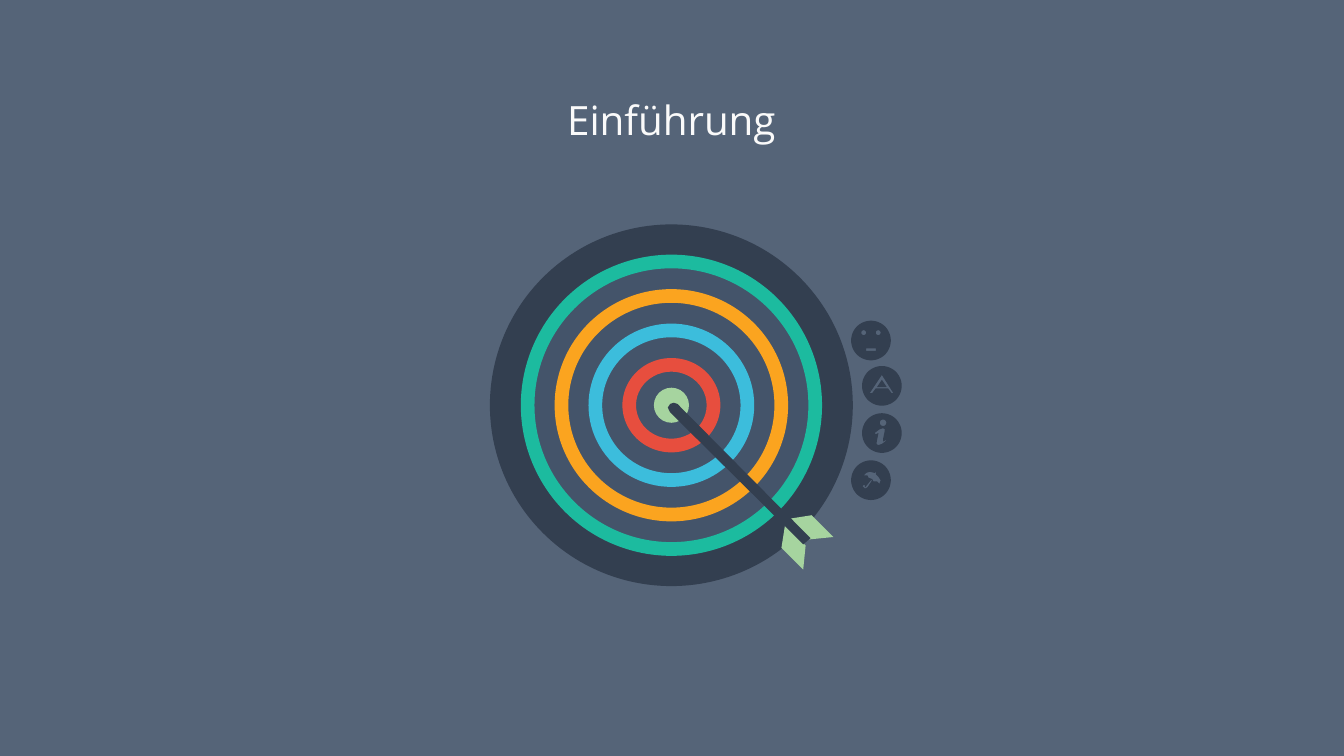
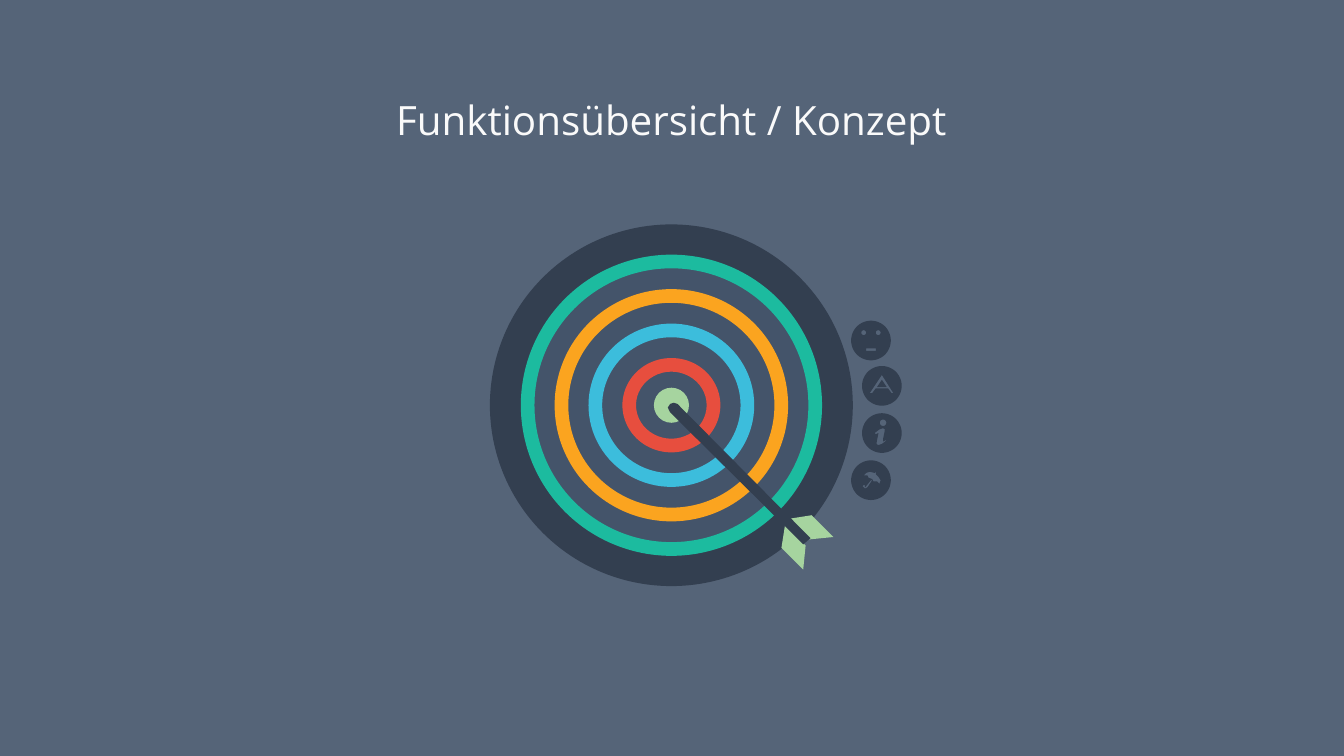
"""Builds two section slides with a title above a target and four badges."""
import math
from dataclasses import dataclass

import pptx
import pptx.dml.color
import pptx.enum.shapes
import pptx.enum.text
import pptx.oxml
import pptx.oxml.ns
import pptx.shapes.autoshape
import pptx.slide
import pptx.util

RGBColor = pptx.dml.color.RGBColor
MSO_SHAPE = pptx.enum.shapes.MSO_SHAPE

Point = tuple[float, float]
Outline = list[Point]

COLUMNS, ROWS = 1111, 625
CELL = pptx.util.Inches(0.01)

PAPER = RGBColor(0xFA, 0xFA, 0xFA)
SLATE = RGBColor(0x44, 0x54, 0x6A)
NAVY = RGBColor(0x33, 0x3F, 0x50)
TEAL = RGBColor(0x1C, 0xBB, 0x9F)
ORANGE = RGBColor(0xFB, 0xA4, 0x1F)
BLUE = RGBColor(0x3C, 0xBD, 0xDC)
RED = RGBColor(0xE7, 0x4E, 0x3E)
GREEN = RGBColor(0xA6, 0xD4, 0x9F)

FONT = "Open Sans"
TITLES = ["Einführung", "Funktionsübersicht / Konzept"]
TARGET_CENTER = (555, 335)
RING_THICKNESS = 11.3
BADGE_RADIUS = 16.4


@dataclass(frozen=True)
class Disc:
    """A disc or ring of the target, measured in grid cells."""
    width: float
    height: float
    color: RGBColor
    is_ring: bool = False


@dataclass(frozen=True)
class Piece:
    """A filled outline of the arrow, in grid cells."""
    outline: Outline
    color: RGBColor


@dataclass(frozen=True)
class Badge:
    """A round badge with cutouts placed around its centre."""
    center: Point
    cutouts: list[Outline]


def circle(center: Point, radius: float, steps: int = 60) -> Outline:
    """Returns the points of a circle."""
    angles = [math.tau * step / steps for step in range(steps)]
    return [(center[0] + radius * math.cos(angle), center[1] + radius * math.sin(angle))
            for angle in angles]


DISCS = [
    Disc(300, 299, NAVY),
    Disc(238, 238, SLATE),
    Disc(249, 249, TEAL, True),
    Disc(193, 192, ORANGE, True),
    Disc(137, 135, BLUE, True),
    Disc(81, 78, RED, True),
    Disc(29, 29, GREEN),
]

ARROW = [
    Piece([(649, 434), (646, 453), (664, 471), (666, 451)], GREEN),
    Piece([(652, 429), (671, 426), (689, 444), (669, 446)], GREEN),
    Piece([(560, 334), (557, 333), (554, 334), (552, 337), (554, 341),
           (664, 450), (670, 445)], NAVY),
]

UMBRELLA = [
    [(7, 3), (5, 1), (2, 1), (1, -1), (-2, -2), (-3, -4), (-6, -4), (-4, -6),
     (-1, -7), (3, -6), (4, -7), (4, -5), (6, -3), (8, 0)],
    [(-3, 6), (-5, 7), (-7, 5), (-6, 4), (-5, 4), (-5, 6), (-4, 5), (0, 0), (1, 0)],
]
INFORMATION = [
    circle((1, -8.5), 2.7),
    [(-3, 10), (-4.5, 9), (-4, 6), (-3, 1), (-3, 0), (-5, 1), (-6, 0), (-2, -3),
     (1, -4), (2.5, -3), (2, 0), (1, 5), (1, 7), (3, 6), (4, 6), (0, 9)],
]
LETTER = [
    [(-10, 6), (-8, 6), (-5, 2), (5, 2), (8, 6), (9.5, 6), (0, -9)],
    [(-4, 1), (0, -5), (4, 1)],
]
FACE = [
    [(-4, 6.5), (4, 6.5), (4, 8.5), (-4, 8.5)],
    circle((6, -6.5), 2),
    circle((-6, -6.5), 2),
]
BADGES = [
    Badge((720, 397), UMBRELLA),
    Badge((729, 358), INFORMATION),
    Badge((729, 319), LETTER),
    Badge((720, 281.5), FACE),
]


def cells(count: float) -> pptx.util.Emu:
    """Converts grid cells to a length."""
    return pptx.util.Emu(round(count * CELL))


def paint(shape: pptx.shapes.autoshape.Shape, color: RGBColor) -> None:
    """Gives a shape a plain fill without line or shadow."""
    shape.shadow.inherit = False
    shape.fill.solid()
    shape.fill.fore_color.rgb = color
    shape.line.fill.background()


def add_overlay(slide: pptx.slide.Slide) -> None:
    """Covers the slide with a slightly transparent rectangle."""
    shape = slide.shapes.add_shape(MSO_SHAPE.RECTANGLE, 0, 0, cells(COLUMNS), cells(ROWS))
    paint(shape, SLATE)
    color = shape.fill._xPr.find(".//" + pptx.oxml.ns.qn("a:srgbClr"))
    color.append(pptx.oxml.parse_xml(
        f'<a:alpha {pptx.oxml.ns.nsdecls("a")} val="90000"/>'))


def add_title(slide: pptx.slide.Slide, title: str) -> None:
    """Adds the centred title."""
    box = slide.shapes.add_textbox(cells(124), cells(78), cells(862), cells(47))
    frame = box.text_frame
    frame.word_wrap = True
    frame.vertical_anchor = pptx.enum.text.MSO_ANCHOR.MIDDLE
    paragraph = frame.paragraphs[0]
    paragraph.text = title
    paragraph.alignment = pptx.enum.text.PP_ALIGN.CENTER
    paragraph.line_spacing = 0.9
    paragraph.font.name = FONT
    paragraph.font.size = pptx.util.Pt(24)
    paragraph.font.color.rgb = PAPER


def add_disc(slide: pptx.slide.Slide, disc: Disc) -> None:
    """Adds a disc or ring around the centre of the target."""
    center_x, center_y = TARGET_CENTER
    shape = slide.shapes.add_shape(
        MSO_SHAPE.DONUT if disc.is_ring else MSO_SHAPE.OVAL,
        cells(center_x - disc.width / 2), cells(center_y - disc.height / 2),
        cells(disc.width), cells(disc.height))
    if disc.is_ring:
        shape.adjustments[0] = RING_THICKNESS / min(disc.width, disc.height)
    paint(shape, disc.color)


def add_outlines(slide: pptx.slide.Slide, outlines: list[Outline], color: RGBColor) -> None:
    """Adds one freeform made of closed outlines."""
    contours = [[(cells(x), cells(y)) for x, y in outline] for outline in outlines]
    builder = slide.shapes.build_freeform(*contours[0][0])
    builder.add_line_segments(contours[0][1:], close=True)
    for contour in contours[1:]:
        builder.move_to(*contour[0])
        builder.add_line_segments(contour[1:], close=True)
    paint(builder.convert_to_shape(), color)


def add_badge(slide: pptx.slide.Slide, badge: Badge) -> None:
    """Adds a badge with its symbol cut out."""
    center_x, center_y = badge.center
    cutouts = [[(center_x + x, center_y + y) for x, y in outline]
               for outline in badge.cutouts]
    add_outlines(slide, [circle(badge.center, BADGE_RADIUS), *cutouts], NAVY)


def add_section(presentation: pptx.presentation.Presentation, title: str) -> None:
    """Adds a section slide."""
    slide = presentation.slides.add_slide(presentation.slide_layouts[6])
    slide.background.fill.solid()
    slide.background.fill.fore_color.rgb = PAPER
    add_overlay(slide)
    add_title(slide, title)
    for disc in DISCS:
        add_disc(slide, disc)
    for piece in ARROW:
        add_outlines(slide, [piece.outline], piece.color)
    for badge in BADGES:
        add_badge(slide, badge)


def main() -> None:
    """Builds and saves the presentation."""
    presentation = pptx.Presentation()
    presentation.slide_width = cells(COLUMNS)
    presentation.slide_height = cells(ROWS)
    for title in TITLES:
        add_section(presentation, title)
    presentation.save("out.pptx")


if __name__ == "__main__":
    main()
